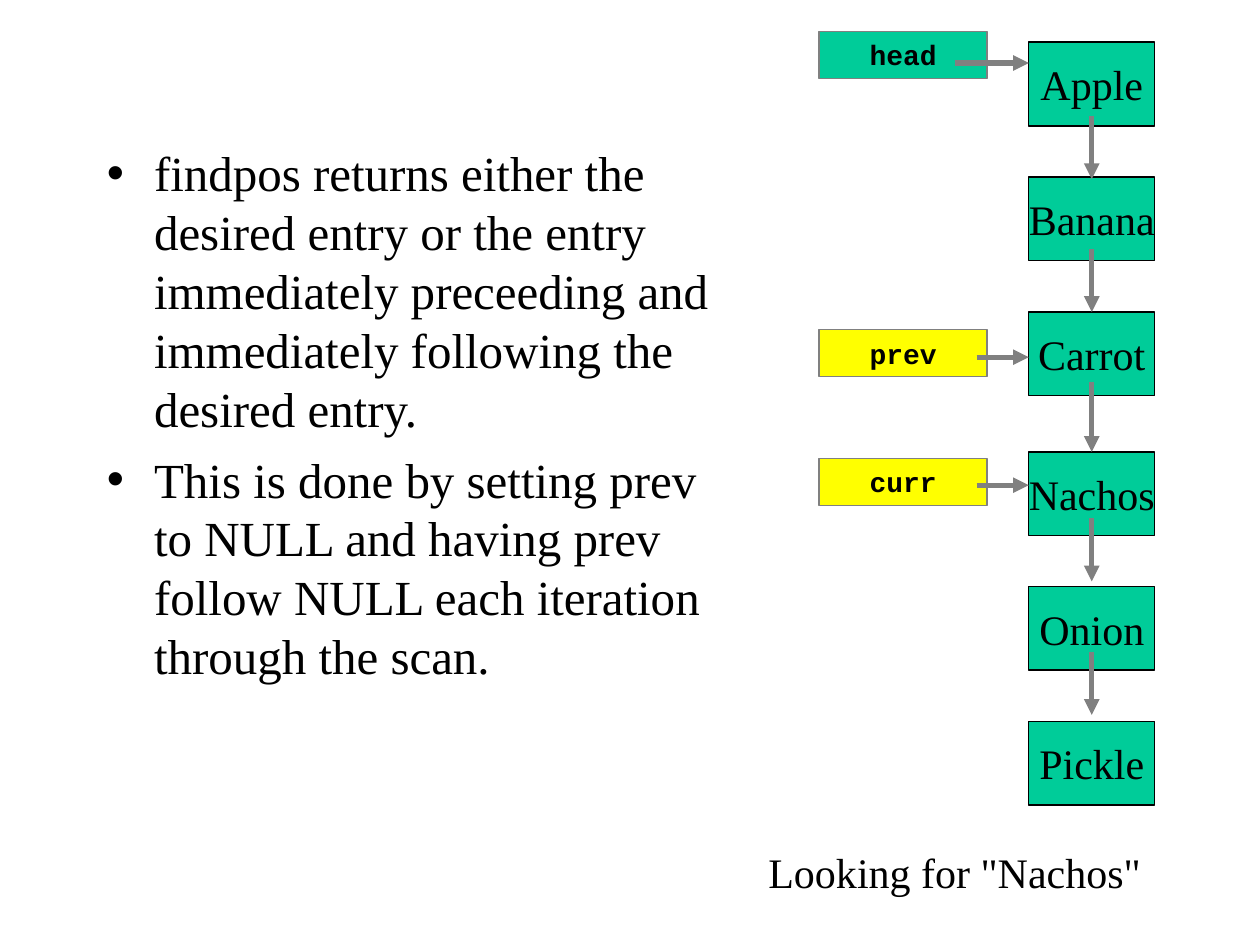
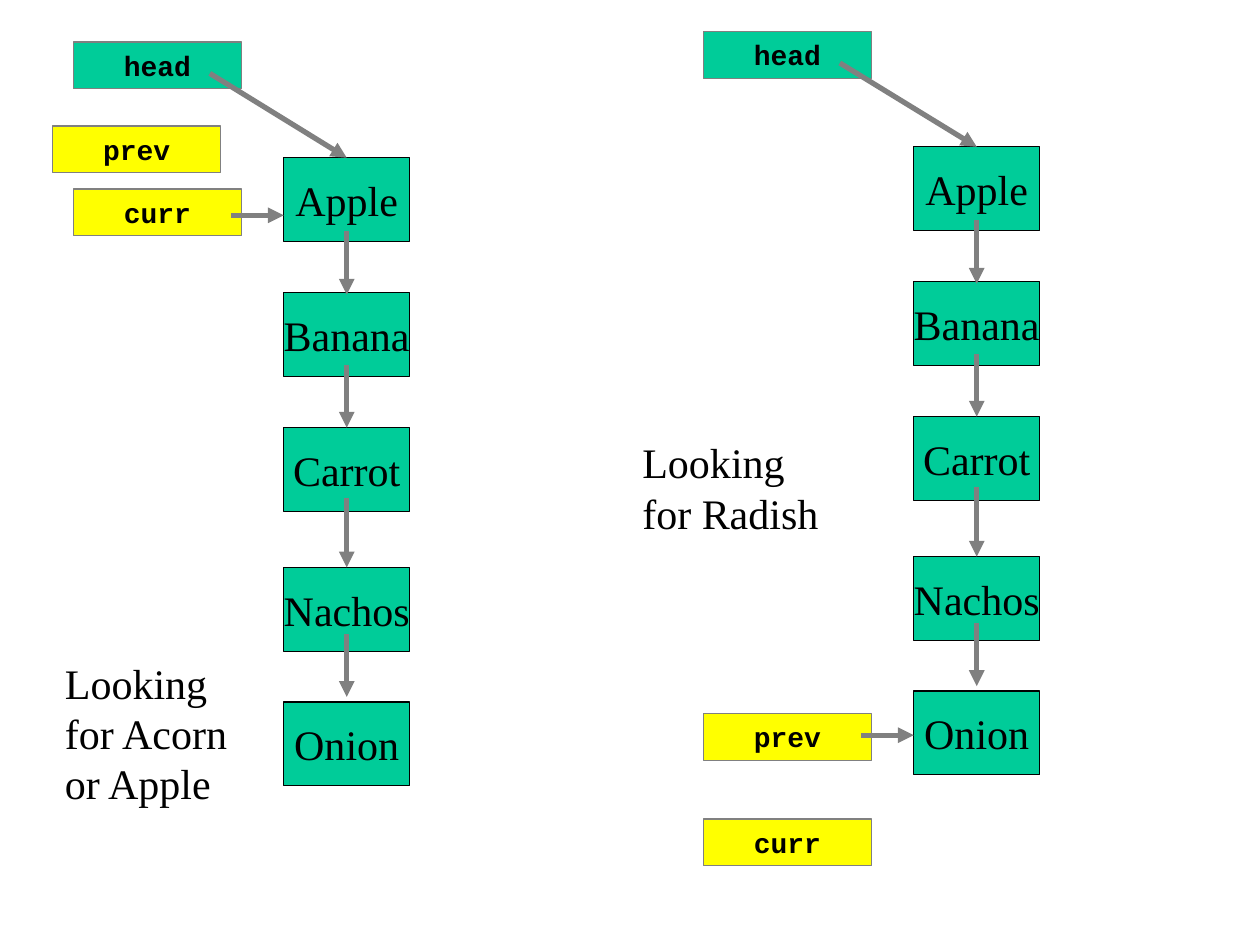
from pptx import Presentation
from pptx.dml.color import RGBColor
from pptx.enum.shapes import MSO_CONNECTOR, MSO_SHAPE
from pptx.enum.text import MSO_ANCHOR, MSO_AUTO_SIZE, PP_ALIGN
from pptx.oxml.ns import qn
from pptx.util import Cm, Pt
from lxml import etree

RECTANGLE = MSO_SHAPE.RECTANGLE
STRAIGHT = MSO_CONNECTOR.STRAIGHT
TOP, MIDDLE = MSO_ANCHOR.TOP, MSO_ANCHOR.MIDDLE
LEFT, CENTER = PP_ALIGN.LEFT, PP_ALIGN.CENTER

GREEN, YELLOW, GRAY, BLACK = "00CC99", "FFFF00", "808080", "000000"
SERIF, MONO = "Times New Roman", "Courier New"

# All lengths are in centimetres; list offsets count from the first node's top
NODE_WIDTH, NODE_HEIGHT = 2.54, 1.69
LABEL_WIDTH, LABEL_HEIGHT = 3.39, 0.94
NODE_OFFSETS = [0, 2.72, 5.44, 8.26, 10.97, 13.69]
LINK_OFFSETS = [(1.48, 2.76), (4.17, 5.44), (6.85, 8.26), (9.6, 10.87), (12.29, 13.56)]
FRUITS = ["Apple", "Banana", "Carrot", "Nachos", "Onion", "Pickle"]
LABEL_FILLS = {"head": GREEN, "prev": YELLOW, "curr": YELLOW}

BULLETS = [
    "findpos returns either the desired entry or the entry immediately "
    "preceeding and immediately following the desired entry.",
    "This is done by setting prev to NULL and having prev follow NULL each "
    "iteration through the scan.",
]

# Each list: slide number, left, top, node count, labels (name, left, top, arrow ends)
LISTS = [
    (0, 20.74, 0.85, 6, [
        ("head", 16.51, 0.64, (19.26, 1.27, 20.74, 1.27)),
        ("prev", 16.51, 6.65, (19.69, 7.2, 20.74, 7.2)),
        ("curr", 16.51, 9.25, (19.69, 9.78, 20.74, 9.78))]),
    (1, 5.72, 3.18, 5, [
        ("head", 1.48, 0.85, (4.23, 1.48, 6.99, 3.18)),
        ("prev", 1.06, 2.54, None),
        ("curr", 1.48, 3.81, (4.66, 4.34, 5.72, 4.34))]),
    (1, 18.42, 2.96, 5, [
        ("head", 14.18, 0.64, (16.93, 1.27, 19.69, 2.96)),
        ("prev", 14.18, 14.39, (17.36, 14.82, 18.42, 14.82)),
        ("curr", 14.18, 16.51, None)]),
]

# Each caption: slide number, text, left, top, width, height, wrap
CAPTIONS = [
    (0, 'Looking for "Nachos"', 15.24, 16.93, 8, 1.27, False),
    (1, "Looking for Acorn or Apple", 1.06, 13.12, 4.45, 3.3, True),
    (1, "Looking for Radish", 12.7, 8.68, 4.45, 2.29, True),
]


def write_text(shape, *lines, size=24, font=SERIF, bold=False, align=LEFT,
               anchor=TOP, wrap=True, gap=0):
    frame = shape.text_frame
    frame.word_wrap = wrap
    frame.auto_size = MSO_AUTO_SIZE.NONE
    frame.vertical_anchor = anchor
    for index, line in enumerate(lines):
        paragraph = frame.add_paragraph() if index else frame.paragraphs[0]
        paragraph.alignment = align
        paragraph.space_before = Pt(gap if index else 0)
        run = paragraph.add_run()
        run.text = line
        run.font.size = Pt(size)
        run.font.name = font
        run.font.bold = bold
        run.font.color.rgb = RGBColor.from_string(BLACK)


def add_item(slide, left, top, width, height, fill=None, line=BLACK):
    """Add a filled box, or an arrow from left/top to width/height when fill is None."""
    if fill:
        item = slide.shapes.add_shape(RECTANGLE, Cm(left), Cm(top), Cm(width), Cm(height))
        item.fill.solid()
        item.fill.fore_color.rgb = RGBColor.from_string(fill)
        item.shadow.inherit = False
    else:
        item = slide.shapes.add_connector(STRAIGHT, Cm(left), Cm(top), Cm(width), Cm(height))
    item.line.color.rgb = RGBColor.from_string(line)
    item.line.width = Pt(0.75 if fill else 3)
    if not fill:
        outline = item.line._get_or_add_ln()
        etree.SubElement(outline, qn("a:tailEnd"), type="triangle")
        etree.SubElement(item.element.spPr, qn("a:effectLst"))
    return item


presentation = Presentation()
presentation.slide_width, presentation.slide_height = Cm(25.4), Cm(19.05)
content_layout, blank_layout = presentation.slide_layouts[1], presentation.slide_layouts[6]
slides = [presentation.slides.add_slide(layout) for layout in (content_layout, blank_layout)]

# Linked lists with their pointer labels
for slide_number, left, top, count, labels in LISTS:
    slide = slides[slide_number]
    for fruit, offset in zip(FRUITS[:count], NODE_OFFSETS):
        node = add_item(slide, left, top + offset, NODE_WIDTH, NODE_HEIGHT, GREEN)
        write_text(node, fruit, align=CENTER, anchor=MIDDLE, wrap=False)
    center = left + NODE_WIDTH / 2
    for start, end in LINK_OFFSETS[:count - 1]:
        add_item(slide, center, top + start, center, top + end, line=GRAY)
    for name, label_left, label_top, arrow in labels:
        label = add_item(slide, label_left, label_top, LABEL_WIDTH, LABEL_HEIGHT,
                         LABEL_FILLS[name], GRAY)
        write_text(label, name, size=16, font=MONO, bold=True, align=CENTER)
        if arrow:
            add_item(slide, *arrow, line=GRAY)

# Explanation on the first slide, which has no title
title, body = slides[0].placeholders
title.element.getparent().remove(title.element)
body.left, body.top, body.width, body.height = Cm(1.9), Cm(2.75), Cm(13.34), Cm(14.18)
write_text(body, *BULLETS, size=28, gap=7)

# Captions
for slide_number, text, left, top, width, height, wrap in CAPTIONS:
    caption = slides[slide_number].shapes.add_textbox(Cm(left), Cm(top), Cm(width), Cm(height))
    write_text(caption, text, wrap=wrap)

presentation.save("out.pptx")
